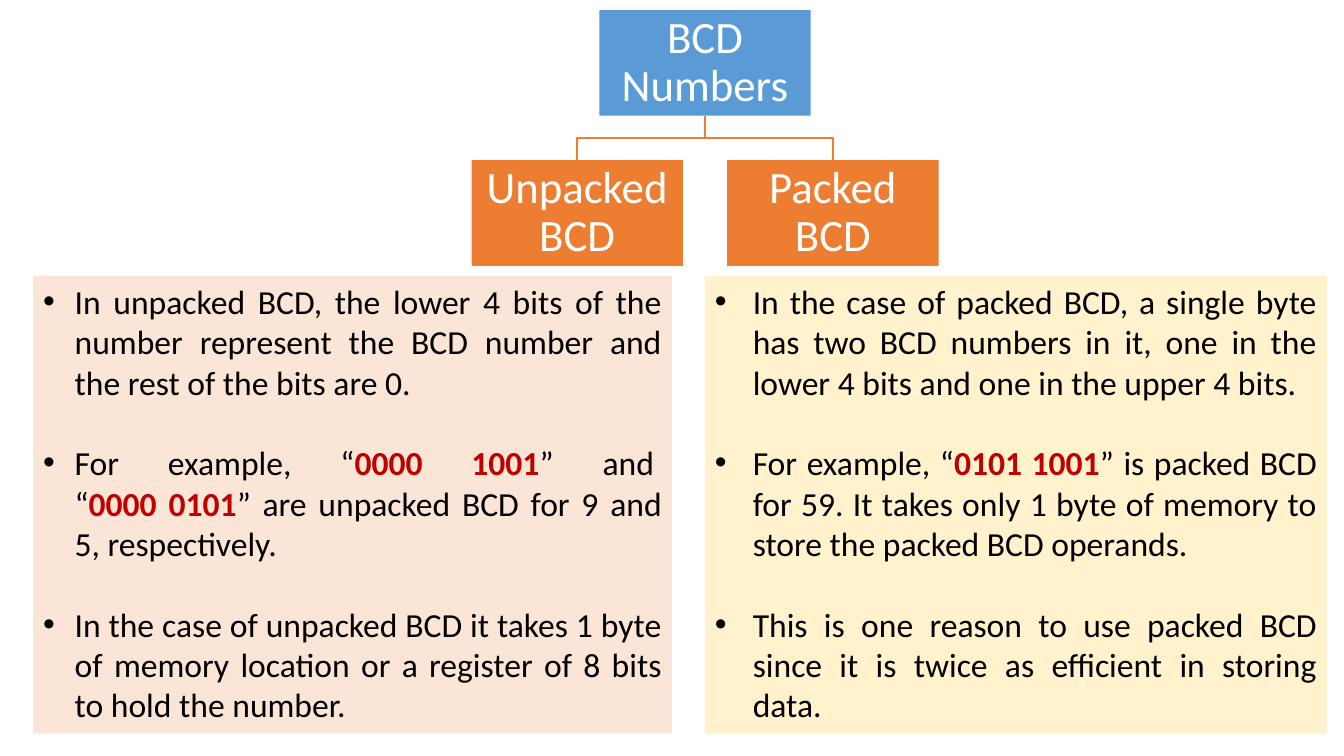
from dataclasses import dataclass

from lxml.etree import SubElement
from pptx import Presentation
from pptx.dml.color import RGBColor
from pptx.enum.shapes import MSO_SHAPE
from pptx.enum.text import MSO_ANCHOR, MSO_AUTO_SIZE, PP_ALIGN
from pptx.oxml.ns import qn
from pptx.util import Pt


@dataclass(frozen=True)
class Theme:
    font: str = "Calibri"
    node_size: float = 32
    body_size: float = 24
    line_width: float = 1
    blue: str = "5B9BD5"
    orange: str = "ED7D31"
    peach: str = "FBE5D6"
    cream: str = "FFF2CC"
    red: str = "C00000"
    black: str = "000000"
    white: str = "FFFFFF"


THEME = Theme()

UNPACKED = [
    ["In unpacked BCD, the lower 4 bits of the number represent the BCD number "
     "and the rest of the bits are 0."],
    ["For example, “", "0000 1001", "” and\t\n“", "0000 0101",
     "” are unpacked BCD for 9 and 5, respectively."],
    ["In the case of unpacked BCD it takes 1 byte of memory location or a "
     "register of 8 bits to hold the number."],
]
PACKED = [
    ["In the case of packed BCD, a single byte has two BCD numbers in it, one "
     "in the lower 4 bits and one in the upper 4 bits."],
    ["For example, “", "0101 1001", "” is packed BCD for 59. It takes only "
     "1 byte of memory to store the packed BCD operands."],
    ["This is one reason to use packed BCD since it is twice as efficient in "
     "storing data."],
]


def add_text(p, text, size=THEME.body_size, color=THEME.black, bold=False):
    for i, line in enumerate(text.split("\n")):
        if i:
            p.add_line_break()
        r = p.add_run()
        r.text = line
        r.font.name = THEME.font
        r.font.size = Pt(size)
        r.font.bold = bold
        r.font.color.rgb = RGBColor.from_string(color)


def place(s, left, top, width, height, fill):
    s.left, s.top, s.width, s.height = map(Pt, (left, top, width, height))
    s.fill.solid()
    s.fill.fore_color.rgb = RGBColor.from_string(fill)
    s.line.fill.background()


def fill_node(s, text, left, top, width, height, fill):
    place(s, left, top, width, height, fill)
    tf = s.text_frame
    tf.word_wrap = True
    tf.auto_size = MSO_AUTO_SIZE.NONE
    tf.vertical_anchor = MSO_ANCHOR.MIDDLE
    tf.margin_left = tf.margin_right = tf.margin_top = tf.margin_bottom = Pt(1.6)
    p = tf.paragraphs[0]
    p.alignment = PP_ALIGN.CENTER
    p.line_spacing = 0.9
    add_text(p, text, size=THEME.node_size, color=THEME.white)


def add_branch(slide, x1, y1, x2, y2):
    mid_y = (y1 + y2) / 2
    fb = slide.shapes.build_freeform(Pt(x1), Pt(y1))
    bends = [(x1, mid_y), (x2, mid_y), (x2, y2)]
    fb.add_line_segments([(Pt(x), Pt(y)) for x, y in bends], close=False)
    s = fb.convert_to_shape()
    s.shadow.inherit = False
    s.fill.background()
    s.line.color.rgb = RGBColor.from_string(THEME.orange)
    s.line.width = Pt(THEME.line_width)


def build_tree(slide, title, children, left, top, width):
    node_w = width / 2.21
    node_h = node_w / 2
    gap = width - 2 * node_w
    mid_x = left + width / 2
    child_y = top + node_h + gap

    fill_node(slide.shapes.title, title, mid_x - node_w / 2, top, node_w, node_h, THEME.blue)
    for i, text in enumerate(children):
        x = left + i * (node_w + gap)
        add_branch(slide, mid_x, top + node_h, x + node_w / 2, child_y)
        s = slide.shapes.add_shape(MSO_SHAPE.RECTANGLE, 0, 0, 0, 0)
        s.shadow.inherit = False
        fill_node(s, text, x, child_y, node_w, node_h, THEME.orange)


def build_panel(s, items, left, top, width, height, fill, indent):
    place(s, left, top, width, height, fill)
    tf = s.text_frame
    tf.word_wrap = True
    tf.auto_size = MSO_AUTO_SIZE.NONE
    tf.vertical_anchor = MSO_ANCHOR.TOP
    for i, parts in enumerate(items):
        p = tf.add_paragraph() if i else tf.paragraphs[0]
        p.alignment = PP_ALIGN.JUSTIFY
        p.line_spacing = 1.0
        p.space_before = Pt(28.8 if i else 0)
        p.space_after = Pt(0)
        pPr = p._p.get_or_add_pPr()
        pPr.set("marL", str(Pt(indent)))
        pPr.set("indent", str(-Pt(indent)))
        SubElement(pPr, qn("a:buFont"), typeface="Arial")
        SubElement(pPr, qn("a:buChar"), char="•")
        for j, text in enumerate(parts):
            marked = j % 2 == 1
            add_text(p, text, color=THEME.red if marked else THEME.black, bold=marked)


def main():
    prs = Presentation()
    prs.slide_width, prs.slide_height = Pt(960), Pt(540)
    slide = prs.slides.add_slide(prs.slide_layouts[3])
    build_tree(slide, "BCD Numbers", ["Unpacked BCD", "Packed BCD"], 336.8, 7.2, 333.6)
    body_left, body_right = slide.placeholders[1], slide.placeholders[2]
    build_panel(body_left, UNPACKED, 23.6, 197, 456.4, 327, THEME.peach, 22.5)
    build_panel(body_right, PACKED, 503.5, 197, 444.4, 327, THEME.cream, 27)
    prs.save("out.pptx")


if __name__ == "__main__":
    main()
